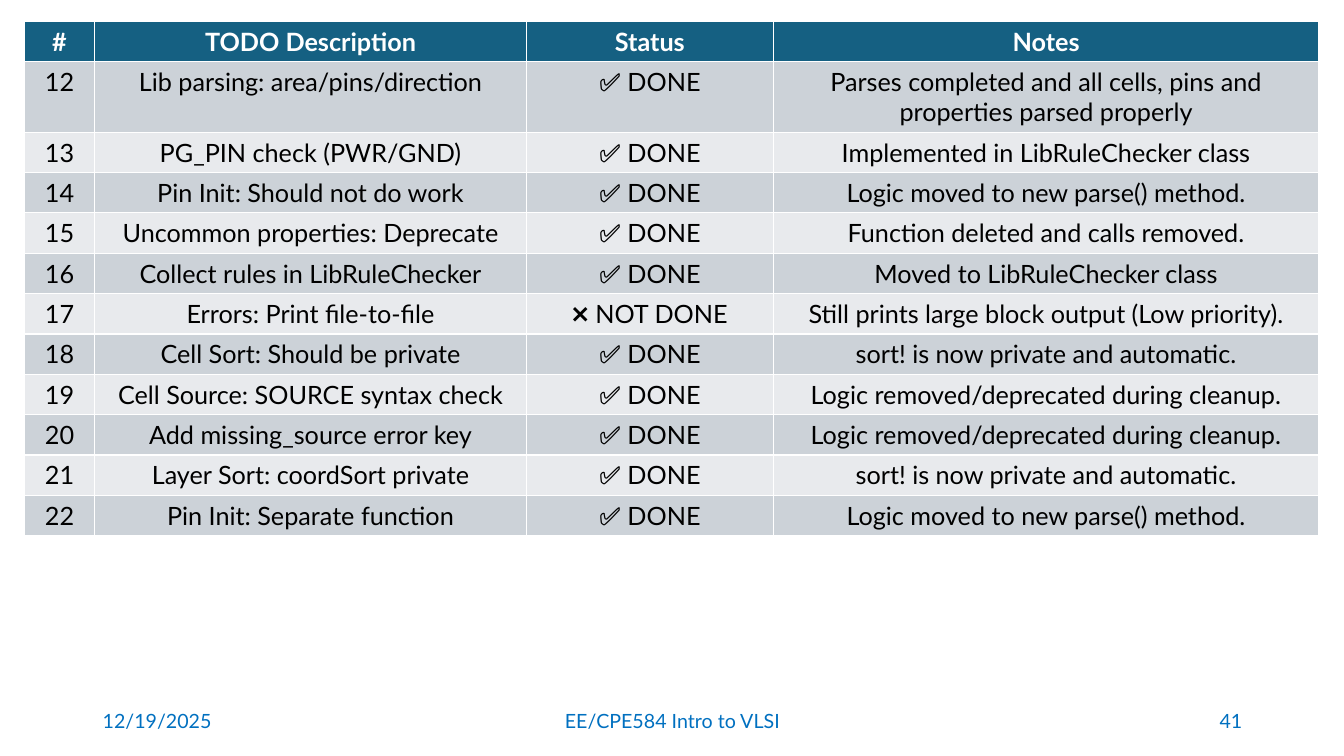
from dataclasses import dataclass

from pptx import Presentation
from pptx.dml.color import RGBColor as Rgb
from pptx.enum.text import MSO_ANCHOR as Anchor, PP_ALIGN as Align
from pptx.util import Inches, Pt

FONT = "Lato"
COLORS = {
    "head": "156082",
    "dark": "CCD2D8",
    "light": "E8EAED",
    "white": "FFFFFF",
    "black": "000000",
    "blue": "0070C0",
}


@dataclass
class Task:
    title: str
    note: str
    done: bool = True


@dataclass
class Label:
    text: str
    left: float
    width: float
    align: Align


HEADS = ["#", "TODO Description", "Status", "Notes"]
WIDTHS = [0.7, 4.28, 2.45, 5.41]
FIRST = 12
ROW, TALL = 0.4, 0.7

TASKS = [
    Task("Lib parsing: area/pins/direction",
         "Parses completed and all cells, pins and properties parsed properly"),
    Task("PG_PIN check (PWR/GND)", "Implemented in LibRuleChecker class"),
    Task("Pin Init: Should not do work", "Logic moved to new parse() method."),
    Task("Uncommon properties: Deprecate", "Function deleted and calls removed."),
    Task("Collect rules in LibRuleChecker", "Moved to LibRuleChecker class"),
    Task("Errors: Print file-to-file",
         "Still prints large block output (Low priority).", done=False),
    Task("Cell Sort: Should be private", "sort! is now private and automatic."),
    Task("Cell Source: SOURCE syntax check",
         "Logic removed/deprecated during cleanup."),
    Task("Add missing_source error key",
         "Logic removed/deprecated during cleanup."),
    Task("Layer Sort: coordSort private", "sort! is now private and automatic."),
    Task("Pin Init: Separate function", "Logic moved to new parse() method."),
]

LABELS = [
    Label("12/19/2025", 0.92, 3, Align.LEFT),
    Label("EE/CPE584 Intro to VLSI", 4.42, 4.5, Align.CENTER),
    Label("41", 9.42, 3, Align.RIGHT),
]


def color(name: str) -> Rgb:
    return Rgb.from_string(COLORS[name])


def write(frame, text: str, size: int, ink: str, align: Align,
          bold: bool = False) -> None:
    frame.text = text
    para = frame.paragraphs[0]
    para.alignment = align
    font = para.font
    font.name, font.size, font.bold = FONT, Pt(size), bold
    font.color.rgb = color(ink)


def add_label(slide, label: Label) -> None:
    box = slide.shapes.add_textbox(Inches(label.left), Inches(6.95),
                                   Inches(label.width), Inches(0.4))
    frame = box.text_frame
    frame.word_wrap = True
    frame.vertical_anchor = Anchor.MIDDLE
    write(frame, label.text, 14, "blue", label.align)


def fill_row(table, row: int, texts: list[str], back: str, ink: str,
             bold: bool = False) -> None:
    for col, text in enumerate(texts):
        cell = table.cell(row, col)
        cell.fill.solid()
        cell.fill.fore_color.rgb = color(back)
        write(cell.text_frame, text, 18, ink, Align.CENTER, bold)


def add_tasks(slide) -> None:
    count = len(TASKS) + 1
    high = ROW * (count - 1) + TALL
    table = slide.shapes.add_table(
        count, len(HEADS), Inches(0.24), Inches(0.21),
        Inches(sum(WIDTHS)), Inches(high)).table
    for col, width in zip(table.columns, WIDTHS):
        col.width = Inches(width)
    for row in table.rows:
        row.height = Inches(ROW)
    table.rows[1].height = Inches(TALL)  # its note takes two lines

    fill_row(table, 0, HEADS, "head", "white", bold=True)
    for row, task in enumerate(TASKS, 1):
        state = "✅ DONE" if task.done else "❌ NOT DONE"
        texts = [str(FIRST + row - 1), task.title, state, task.note]
        fill_row(table, row, texts, "dark" if row % 2 else "light", "black")


def main() -> None:
    deck = Presentation()
    deck.slide_width, deck.slide_height = Inches(13.33), Inches(7.5)
    slide = deck.slides.add_slide(deck.slide_layouts[6])

    # Footer
    for label in LABELS:
        add_label(slide, label)

    # Task table
    add_tasks(slide)
    deck.save("out.pptx")


if __name__ == "__main__":
    main()
